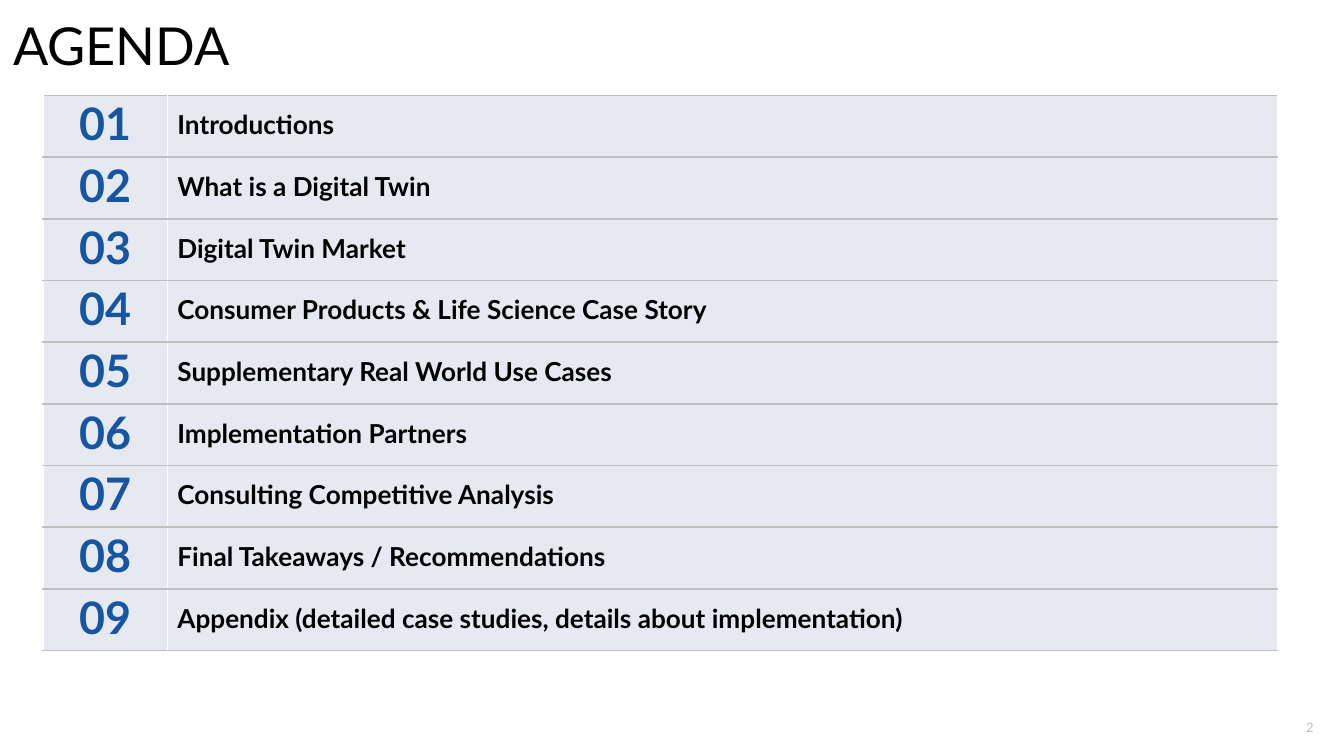
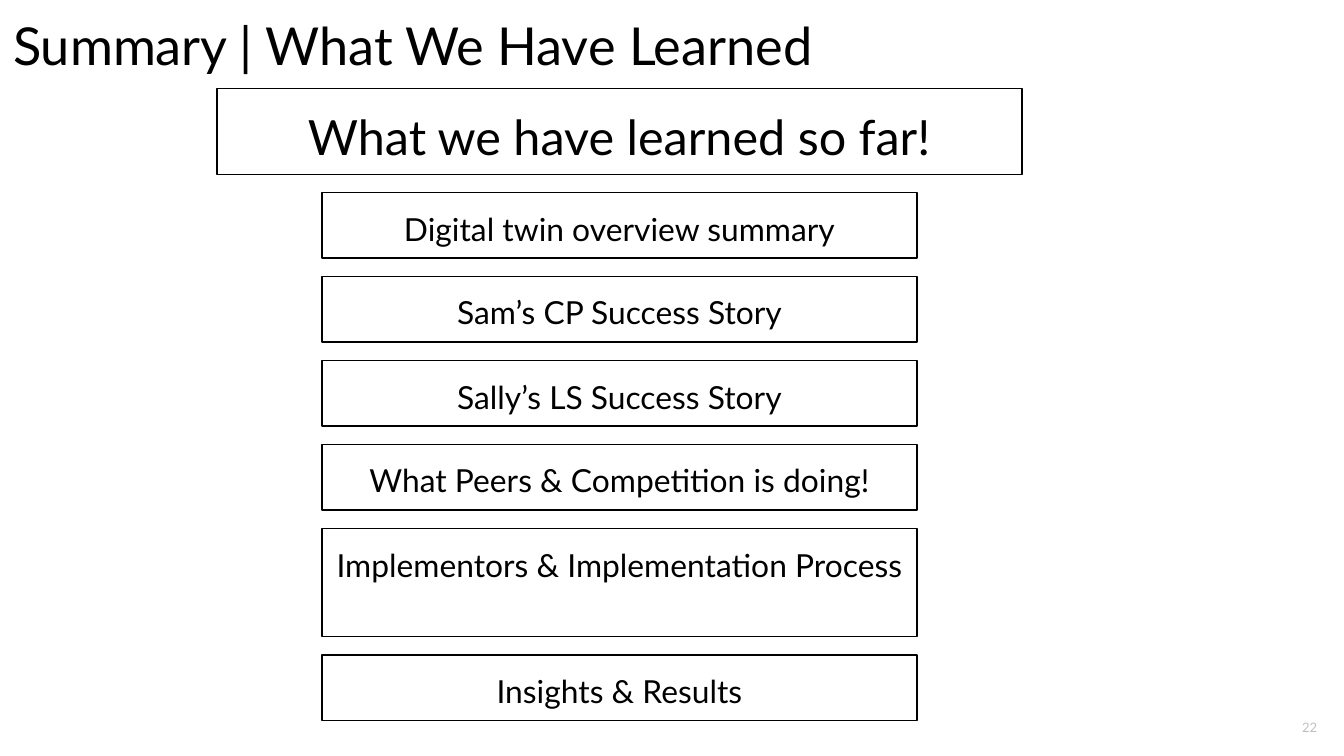
from pptx import Presentation
from pptx.dml.color import RGBColor
from pptx.enum.shapes import MSO_SHAPE as Shape
from pptx.enum.text import MSO_ANCHOR as Anchor, MSO_AUTO_SIZE as Fit, PP_ALIGN as Align
from pptx.oxml import parse_xml
from pptx.oxml.ns import nsdecls
from pptx.util import Pt

PX = 4572  # 200 px to the inch
FONT = "Lato"
BLACK, WHITE, GREY, BLUE, PALE = "000000", "FFFFFF", "BFBFBF", "1655A2", "E6E9EF"


def color(code):
    return RGBColor.from_string(code)


def write(frame, text, size, code=BLACK, align=Align.LEFT, space=1.0, bold=False):
    """Put one run of text into the first paragraph of a frame."""
    frame.word_wrap = True
    para = frame.paragraphs[0]
    para.alignment = align
    para.line_spacing = space
    run = para.add_run()
    run.text = text
    run.font.name = FONT
    run.font.size = Pt(size)
    run.font.bold = bold
    run.font.color.rgb = color(code)


deck = Presentation()
deck.slide_width, deck.slide_height = 2000 * PX, 1125 * PX
blank = deck.slide_layouts[6]

# Title and page number on each slide
slides = []
for title, width, page in [("AGENDA", 1022, "2"),
                           ("Summary | What We Have Learned", 1322, "22")]:
    slide = deck.slides.add_slide(blank)
    slides.append(slide)
    head = slide.shapes.add_textbox(0, 0, width * PX, 134 * PX).text_frame
    head.margin_left = head.margin_right = head.margin_top = head.margin_bottom = 20 * PX
    write(head, title, 28)
    head.auto_size = Fit.SHAPE_TO_FIT_TEXT

    foot = slide.shapes.add_textbox(1917 * PX, 1053 * PX, 64 * PX, 60 * PX).text_frame
    foot.margin_left = foot.margin_right = 14 * PX
    foot.margin_top = foot.margin_bottom = 8 * PX
    foot.vertical_anchor = Anchor.MIDDLE
    write(foot, page, 7, GREY, Align.CENTER)

agenda, summary = slides

# Agenda table
topics = [
    "Introductions",
    "What is a Digital Twin",
    "Digital Twin Market",
    "Consumer Products & Life Science Case Story",
    "Supplementary Real World Use Cases",
    "Implementation Partners",
    "Consulting Competitive Analysis",
    "Final Takeaways / Recommendations",
    "Appendix (detailed case studies, details about implementation)",
]
table = agenda.shapes.add_table(len(topics), 2, 64 * PX, 142 * PX, 1837 * PX, 827 * PX).table
table.first_row = table.horz_banding = False
table.columns[0].width, table.columns[1].width = 185 * PX, 1652 * PX

for row, topic in enumerate(topics):
    number, label = table.cell(row, 0), table.cell(row, 1)
    for cell in (number, label):
        cell.margin_left = cell.margin_right = 15 * PX
        cell.margin_top = cell.margin_bottom = 8 * PX
        cell.vertical_anchor = Anchor.MIDDLE
        props = cell._tc.get_or_add_tcPr()
        for side, code in zip("LRTB", (WHITE, WHITE, GREY, GREY)):
            props.append(parse_xml(
                f'<a:ln{side} {nsdecls("a")} w="12700"><a:solidFill>'
                f'<a:srgbClr val="{code}"/></a:solidFill></a:ln{side}>'))
        cell.fill.solid()
        cell.fill.fore_color.rgb = color(PALE)
    write(number.text_frame, f"{row + 1:02}", 24, BLUE, Align.CENTER, 0.9, True)
    write(label.text_frame, topic, 14, space=0.9, bold=True)

# Summary boxes: a wide heading, then a stack with equal gaps
boxes = [(323, 132, 1198, 128, 26, "What we have learned so far!")]
top = 287
for text, height in [
    ("Digital twin overview summary", 97),
    ("Sam’s CP Success Story", 97),
    ("Sally’s LS Success Story", 97),
    ("What Peers & Competition is doing!", 97),
    ("Implementors & Implementation Process", 160),
    ("Insights & Results", 97),
]:
    boxes.append((479, top, 886, height, 17, text))
    top += height + 28

for left, top, width, height, size, text in boxes:
    box = summary.shapes.add_shape(
        Shape.RECTANGLE, left * PX, top * PX, width * PX, height * PX)
    box.shadow.inherit = False
    box.fill.background()
    box.line.color.rgb = color(BLACK)
    box.line.width = Pt(0.75)
    frame = box.text_frame
    frame.margin_left = frame.margin_right = frame.margin_top = frame.margin_bottom = 20 * PX
    frame.vertical_anchor = Anchor.TOP
    write(frame, text, size, align=Align.CENTER, space=1.08)
    frame.auto_size = Fit.SHAPE_TO_FIT_TEXT

deck.save("out.pptx")
